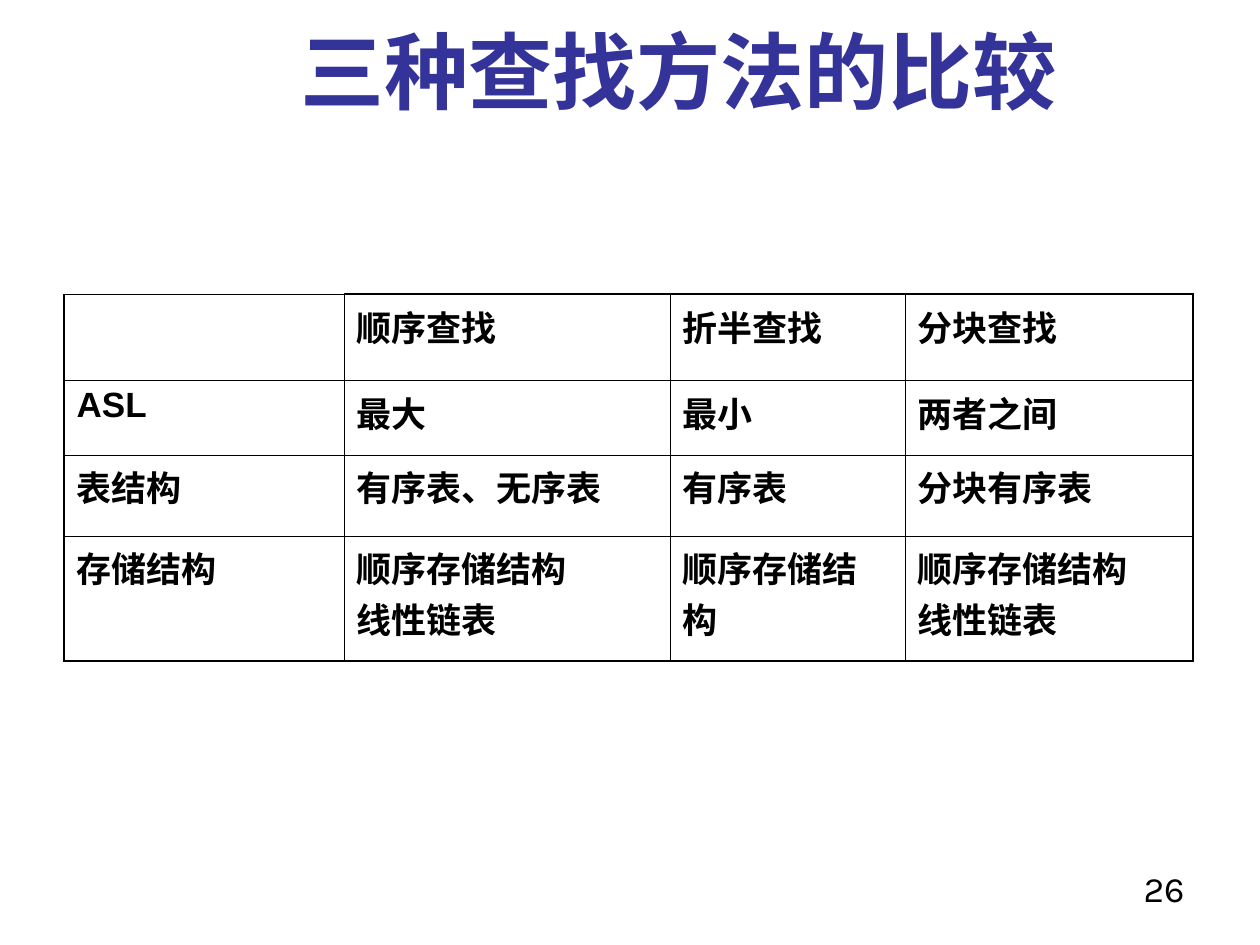
"""Build a slide that compares three search methods in a table."""
from lxml import etree
from pptx import Presentation
from pptx.dml.color import RGBColor
from pptx.enum.text import MSO_ANCHOR, PP_ALIGN
from pptx.oxml.ns import qn
from pptx.util import Pt

BOTTOM = MSO_ANCHOR.BOTTOM
CENTER, RIGHT = PP_ALIGN.CENTER, PP_ALIGN.RIGHT
PX = 914400 / 126
COLORS = {"title": "333399", "text": "000000", "line": "000000"}
HAN = "Noto Sans CJK SC"
THIN, THICK = 0.45, 1.08


def px(*nums):
    return [round(num * PX) for num in nums]


def write(para, text, size, face, color, bold):
    run = para.add_run()
    run.text = text
    font = run.font
    font.size, font.name, font.bold = Pt(size), face, bold
    font.color.rgb = RGBColor.from_string(COLORS[color])
    etree.SubElement(run._r.get_or_add_rPr(), qn("a:ea"), typeface=HAN)


prs = Presentation()
prs.slide_width, prs.slide_height = px(1260, 945)
slide = prs.slides.add_slide(prs.slide_layouts[5])

title = slide.shapes.title
title.left, title.top, title.width, title.height = px(136, 26, 1085, 94)
frame = title.text_frame
frame.margin_left = frame.margin_right = 0
frame.margin_top = frame.margin_bottom = 0
frame.vertical_anchor = BOTTOM
frame.paragraphs[0].alignment = CENTER
write(frame.paragraphs[0], "三种查找方法的比较", 48, HAN, "title", True)

rows = [
    ["", "顺序查找", "折半查找", "分块查找"],
    ["ASL", "最大", "最小", "两者之间"],
    ["表结构", "有序表、无序表", "有序表", "分块有序表"],
    ["存储结构", "顺序存储结构\n线性链表", "顺序存储结构", "顺序存储结构\n线性链表"],
]
widths = [280, 326, 235, 288]
heights = [86, 75, 81, 125]
box = px(64, 294, sum(widths), sum(heights))
table = slide.shapes.add_table(len(rows), len(widths), *box).table
table.first_row = table.horz_banding = False
for col, width in zip(table.columns, px(*widths)):
    col.width = width
for row, height in zip(table.rows, px(*heights)):
    row.height = height

last_row, last_col = len(rows) - 1, len(widths) - 1
for i, row in enumerate(rows):
    for j, text in enumerate(row):
        cell = table.cell(i, j)
        edges = {
            "L": j == 0,
            "R": j == last_col,
            "T": i == 0 and j > 0,
            "B": i == last_row,
        }
        props = cell._tc.get_or_add_tcPr()
        for side, thick in edges.items():
            width = Pt(THICK if thick else THIN)
            line = etree.SubElement(props, qn(f"a:ln{side}"), w=str(width))
            fill = etree.SubElement(line, qn("a:solidFill"))
            etree.SubElement(fill, qn("a:srgbClr"), val=COLORS["line"])
        cell.fill.background()
        if not text:
            continue
        frame = cell.text_frame
        for k, part in enumerate(text.split("\n")):
            para = frame.add_paragraph() if k else frame.paragraphs[0]
            write(para, part, 20, "Arial", "text", True)

number = slide.shapes.add_textbox(*px(903, 861, 294, 63))
frame = number.text_frame
frame.word_wrap = True
frame.paragraphs[0].alignment = RIGHT
write(frame.paragraphs[0], "26", 20.4, "Karla", "text", False)

prs.save("out.pptx")
